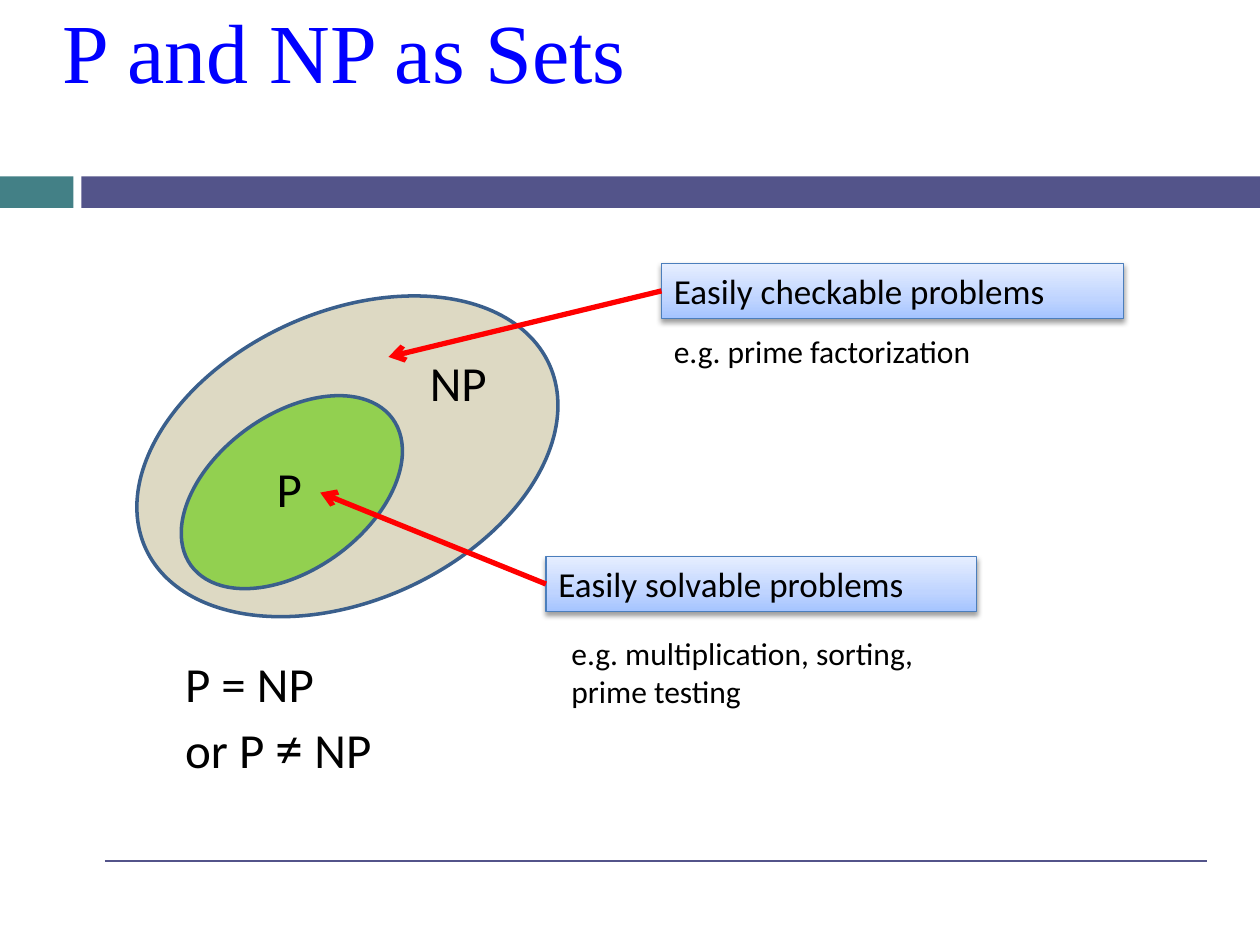
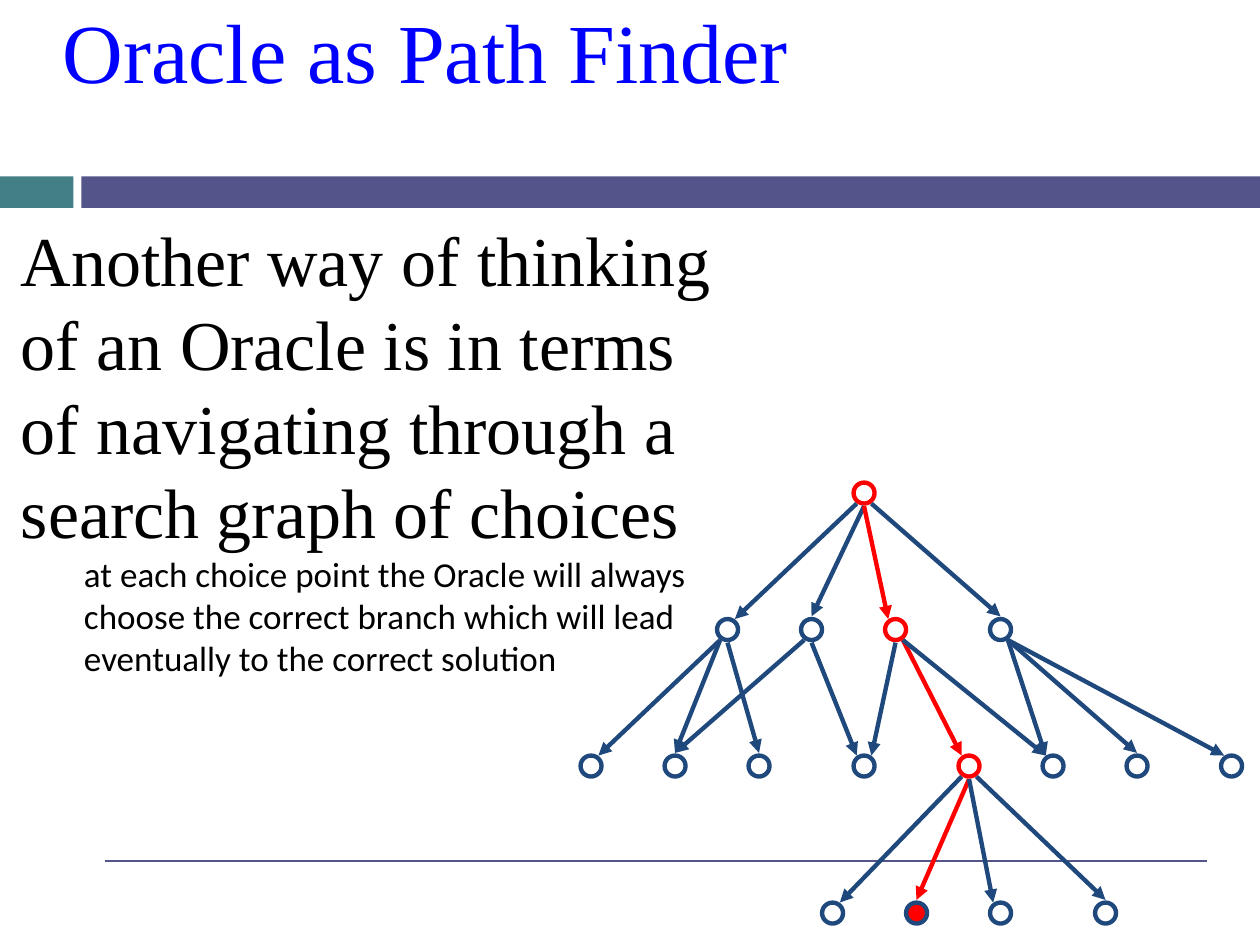
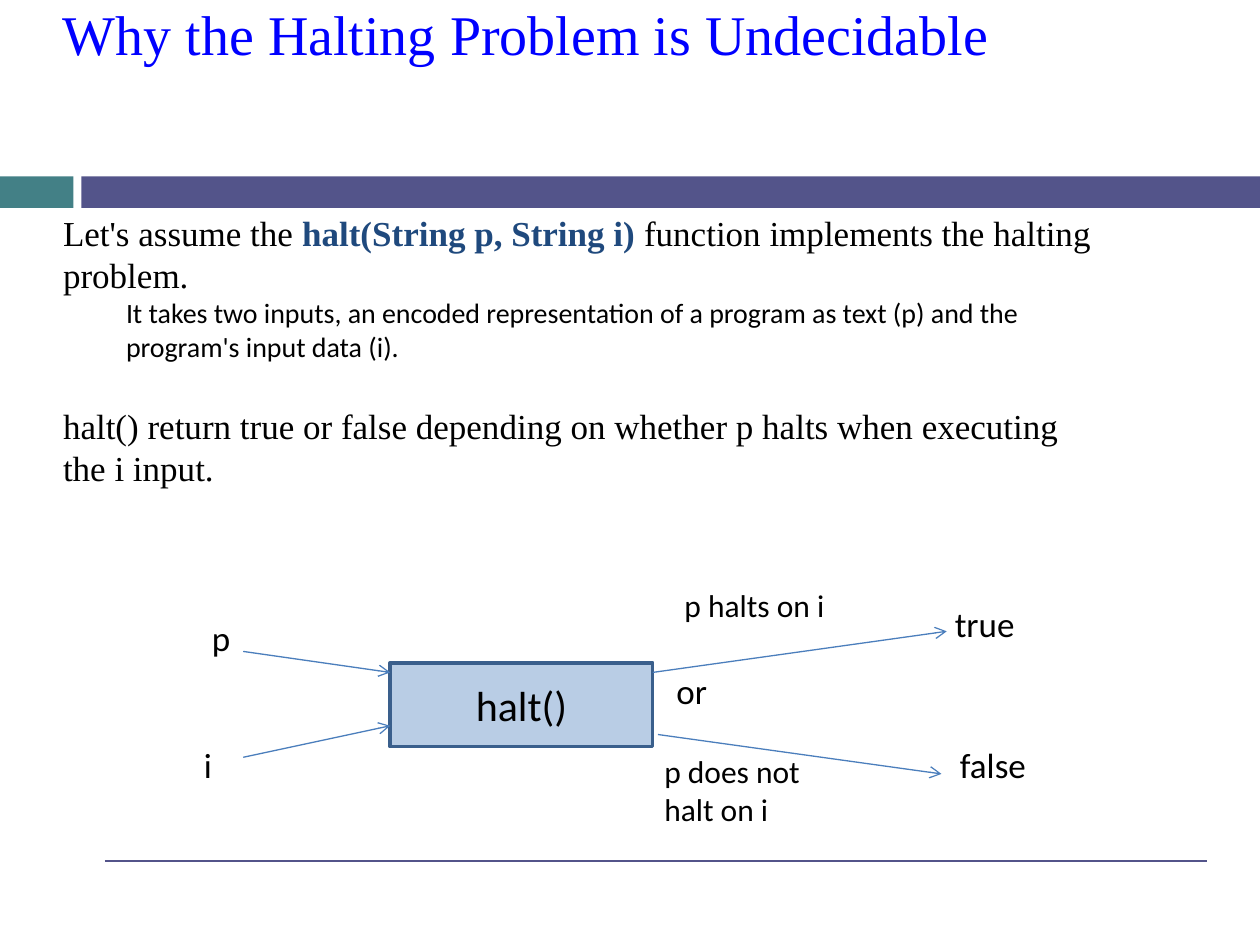
from copy import deepcopy
from lxml.etree import SubElement
from pptx import Presentation
from pptx.dml.color import RGBColor
from pptx.enum.shapes import MSO_CONNECTOR as Connector, MSO_SHAPE as Shape
from pptx.enum.text import MSO_ANCHOR as Anchor, MSO_AUTO_SIZE as AutoSize, PP_ALIGN as Align
from pptx.oxml.ns import qn
from pptx.util import Pt

BLACK = RGBColor(0x00, 0x00, 0x00)
TITLE_BLUE = RGBColor(0x00, 0x00, 0xFF)
TEAL = RGBColor(0x43, 0x80, 0x86)
PURPLE = RGBColor(0x53, 0x54, 0x8A)
OUTLINE = RGBColor(0x3A, 0x5F, 0x8C)
THIN_BLUE = RGBColor(0x4B, 0x7E, 0xBC)
NAVY = RGBColor(0x1F, 0x49, 0x7D)
RED = RGBColor(0xFF, 0x00, 0x00)
SAND = RGBColor(0xDD, 0xD9, 0xC3)
GREEN = RGBColor(0x92, 0xD0, 0x50)
PALE_BLUE = RGBColor(0xB9, 0xCD, 0xE5)
CALLOUT_STOPS = [(0, RGBColor(0xA4, 0xC4, 0xFF)),
                 (0.35, RGBColor(0xBF, 0xD4, 0xFF)),
                 (1, RGBColor(0xE6, 0xEE, 0xFF))]
SERIF = "Times New Roman"
SANS = "Calibri"

NODE_SIZE = 12
LEVEL_TOPS = [0, 78, 156, 240]
LEVEL_NODES = [
    [156],
    [78, 126, 174, 234],
    [0, 48, 96, 156, 216, 264, 312, 366],
    [138, 186, 234, 294],
]
LEVEL_EDGES = [
    [(0, 0, -1, 1), (0, 1, 0, 0), (0, 2, 0, -1), (0, 3, 1, 0)],
    [(0, 0, -1, 1), (0, 1, -1, 0), (0, 2, 0, 0), (1, 1, -1, 0),
     (1, 3, 0, -1), (2, 3, 0, 1), (2, 4, 1, -1), (2, 5, 1, -1),
     (3, 5, 1, -1), (3, 6, 1, 0), (3, 7, 1, -1)],
    [(4, 0, -1, 1), (4, 1, 0, 0), (4, 2, 0, -1), (4, 3, 1, 0)],
]
ORACLE_CHOICES = [0, 2, 4, 1]


def points(*lengths):
    return [Pt(length) for length in lengths]


def style_font(font, size, name=SANS, color=BLACK):
    font.size, font.name = Pt(size), name
    font.color.rgb = color


def add_shape(slide, kind, box, fill=None, line=None, width=1):
    shape = slide.shapes.add_shape(kind, *points(*box))
    shape.shadow.inherit = False
    if fill is None:
        shape.fill.background()
    else:
        shape.fill.solid()
        shape.fill.fore_color.rgb = fill
    if line is None:
        shape.line.fill.background()
    else:
        shape.line.color.rgb = line
        shape.line.width = Pt(width)
    return shape


def add_line(slide, start, end, color, width, head=None):
    connector = slide.shapes.add_connector(Connector.STRAIGHT, *points(*start, *end))
    connector.line.color.rgb = color
    connector.line.width = Pt(width)
    properties = connector._element.spPr
    if head:
        SubElement(properties.find(qn("a:ln")), qn("a:tailEnd"), type=head)
    SubElement(properties, qn("a:effectLst"))
    return connector


def add_label(slide, box, lines, size):
    label = slide.shapes.add_textbox(*points(*box))
    frame = label.text_frame
    frame.word_wrap = False
    frame.auto_size = AutoSize.SHAPE_TO_FIT_TEXT
    for index, line in enumerate(lines):
        paragraph = frame.paragraphs[0] if index == 0 else frame.add_paragraph()
        paragraph.text = line
        style_font(paragraph.font, size)
    return label


def add_flush_text(slide, box):
    frame = slide.shapes.add_textbox(*points(*box)).text_frame
    frame.word_wrap = True
    frame.margin_left = frame.margin_top = frame.margin_right = frame.margin_bottom = 0
    return frame


def add_detail(frame, text, size):
    detail = frame.add_paragraph()
    detail.text = text
    detail.level = 1
    detail._p.get_or_add_pPr().set("marL", str(Pt(36)))
    detail._p.get_or_add_pPr().set("indent", "0")
    style_font(detail.font, size)


def start_slide(deck, title, size=48):
    slide = deck.slides.add_slide(deck.slide_layouts[6])
    add_shape(slide, Shape.RECTANGLE, (0, 100.8, 42, 18), TEAL)
    add_shape(slide, Shape.RECTANGLE, (46.5, 100.8, 673.5, 18), PURPLE)
    add_line(slide, (60, 492), (690, 492), PURPLE, 1.5)
    heading = add_flush_text(slide, (36, 0, 648, 100)).paragraphs[0]
    heading.text = title
    style_font(heading.font, size, SERIF, TITLE_BLUE)
    return slide


def draw_sets(slide, left, top):
    for box, angle, fill in [((39, 0, 165, 253.5), 65.5, SAND),
                             ((45.5, 76, 88.5, 142.5), 53.9, GREEN)]:
        oval = add_shape(slide, Shape.OVAL, (left + box[0], top + box[1], *box[2:]),
                         fill, OUTLINE, 2)
        oval.rotation = angle
    add_label(slide, (left + 74, top + 124.5, 32, 41), ["P"], 28)
    add_label(slide, (left + 161.5, top + 64, 54.5, 41), ["NP"], 28)


def draw_callout(slide, left, top, width, text, target):
    height = 31.5
    callout = add_shape(slide, Shape.RECTANGLE, (left, top, width, height), PALE_BLUE,
                        THIN_BLUE, 0.75)
    callout.fill.gradient()
    callout.fill.gradient_angle = 90
    properties = callout._element.spPr
    stop_list = properties.find(".//" + qn("a:gsLst"))
    stop_list.append(deepcopy(stop_list[0]))
    for stop, (position, color) in zip(callout.fill.gradient_stops, CALLOUT_STOPS):
        stop.position = position
        stop.color.rgb = color
    shadow = SubElement(properties.find(qn("a:effectLst")), qn("a:outerShdw"),
                        blurRad=str(Pt(3.1)), dist=str(Pt(1.6)), dir="5400000",
                        rotWithShape="0")
    shade = SubElement(shadow, qn("a:srgbClr"), val=str(BLACK))
    SubElement(shade, qn("a:alpha"), val="38000")

    callout.text_frame.vertical_anchor = Anchor.TOP
    paragraph = callout.text_frame.paragraphs[0]
    paragraph.text = text
    paragraph.alignment = Align.LEFT
    style_font(paragraph.font, 20)
    arrow = add_line(slide, (left, top + height / 2), target, RED, 3, "arrow")
    arrow.begin_connect(callout, 1)


def build_sets_slide(deck):
    slide = start_slide(deck, "P and NP as Sets")
    draw_sets(slide, 77, 134)
    draw_callout(slide, 312, 318, 246, "Easily solvable problems", (183, 281.5))
    draw_callout(slide, 378, 150.5, 264, "Easily checkable problems", (222, 204))
    add_label(slide, (378, 186, 201.5, 29), ["e.g. prime factorization"], 18)
    add_label(slide, (319.5, 359, 232, 51),
              ["e.g. multiplication, sorting,", "prime testing"], 18)
    question = add_label(slide, (98.75, 370, 135.5, 80), ["P = NP", "or P "], 28)
    statement = question.text_frame.paragraphs[1]
    unequal = statement.add_run()
    unequal.text = "≠"
    unequal.font.size = Pt(32)
    statement.add_run().text = " NP"


def edge_point(left, top, level, node, side, direction):
    return (left + LEVEL_NODES[level][node] + 4.2 * side,
            top + LEVEL_TOPS[level] + direction * (7.5 - 1.5 * abs(side)))


def draw_search_tree(slide, left, top):
    last_level = len(LEVEL_NODES) - 1
    for level, nodes in enumerate(LEVEL_NODES):
        for index, center in enumerate(nodes):
            chosen = index == ORACLE_CHOICES[level]
            solution = chosen and level == last_level
            box = (left + center - NODE_SIZE / 2,
                   top + LEVEL_TOPS[level] - NODE_SIZE / 2, NODE_SIZE, NODE_SIZE)
            add_shape(slide, Shape.OVAL, box, RED if solution else None,
                      RED if chosen and not solution else NAVY, 2.5)
    for level, edges in enumerate(LEVEL_EDGES):
        for parent, child, start_side, end_side in edges:
            chosen = [parent, child] == ORACLE_CHOICES[level:level + 2]
            add_line(slide, edge_point(left, top, level, parent, start_side, 1),
                     edge_point(left, top, level + 1, child, end_side, -1),
                     RED if chosen else NAVY, 2.5, "triangle")


def build_oracle_slide(deck):
    slide = start_slide(deck, "Oracle as Path Finder")
    body = add_flush_text(slide, (12, 124, 397.5, 144))
    idea = body.paragraphs[0]
    idea.text = ("Another way of thinking of an Oracle is in terms of navigating "
                 "through a search graph of choices")
    style_font(idea.font, 40, SERIF)
    add_detail(body, "at each choice point the Oracle will always choose the correct "
               "branch which will lead eventually to the correct solution", 20)
    draw_search_tree(slide, 337.75, 281.75)


def write_halting_text(slide, box):
    body = add_flush_text(slide, box)
    assumption = body.paragraphs[0]
    style_font(assumption.font, 20, SERIF)
    for text, is_signature in [("Let's assume the ", False),
                               ("halt(String p, String i)", True),
                               (" function implements the halting problem.", False)]:
        run = assumption.add_run()
        run.text = text
        if is_signature:
            run.font.bold = True
            run.font.color.rgb = NAVY
    add_detail(body, "It takes two inputs, an encoded representation of a program as text "
               "(p) and the program's input data (i).", 16)
    result = body.add_paragraph()
    result.text = ("halt() return true or false depending on whether p halts when "
                   "executing the i input.")
    result.space_before = Pt(24)
    style_font(result.font, 20, SERIF)


def draw_halt_diagram(slide, left, top):
    function_box = add_shape(slide, Shape.RECTANGLE, (left + 114, top + 47.5, 150, 48),
                             PALE_BLUE, OUTLINE, 2)
    function_box.text_frame.vertical_anchor = Anchor.MIDDLE
    function_name = function_box.text_frame.paragraphs[0]
    function_name.text = "halt()"
    function_name.alignment = Align.CENTER
    style_font(function_name.font, 24)

    for start, end in [((30, 41), (114, 53)), ((30, 101.5), (114, 83.5)),
                       ((264, 53), (432, 29.5)), ((267, 88.5), (429, 111))]:
        add_line(slide, (left + start[0], top + start[1]), (left + end[0], top + end[1]),
                 THIN_BLUE, 0.75, "arrow")

    for x, y, width, height, lines, size in [
        (5, 17.5, 26.5, 31.5, ["p"], 20),
        (0.5, 90, 20, 31.5, ["i"], 20),
        (429.5, 9.5, 51, 31.5, ["true"], 20),
        (270.5, 47.5, 33, 31.5, ["or"], 20),
        (432.5, 90, 55.5, 31.5, ["false"], 20),
        (275, 0, 103.5, 29, ["p halts on i"], 18),
        (263.5, 95, 98.5, 51, ["p does not", "halt on i"], 18),
    ]:
        add_label(slide, (left + x, top + y, width, height), lines, size)


def build_halting_slide(deck):
    slide = start_slide(deck, "Why the Halting Problem is Undecidable", 32)
    write_halting_text(slide, (36, 121, 594, 224.5))
    draw_halt_diagram(slide, 109, 331.25)


def main():
    deck = Presentation()
    deck.slide_width, deck.slide_height = Pt(720), Pt(540)
    build_sets_slide(deck)
    build_oracle_slide(deck)
    build_halting_slide(deck)
    deck.save("out.pptx")


if __name__ == "__main__":
    main()
